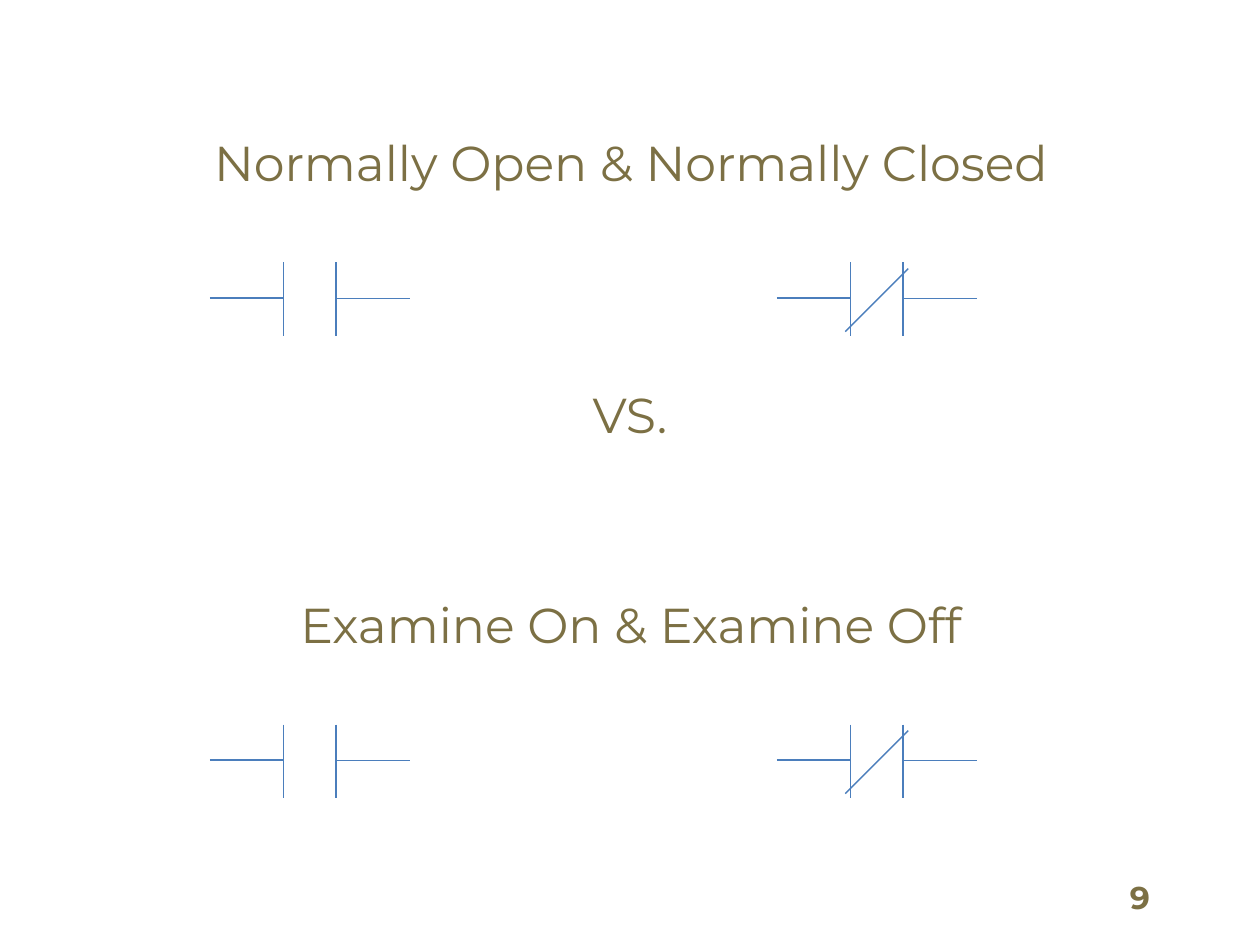
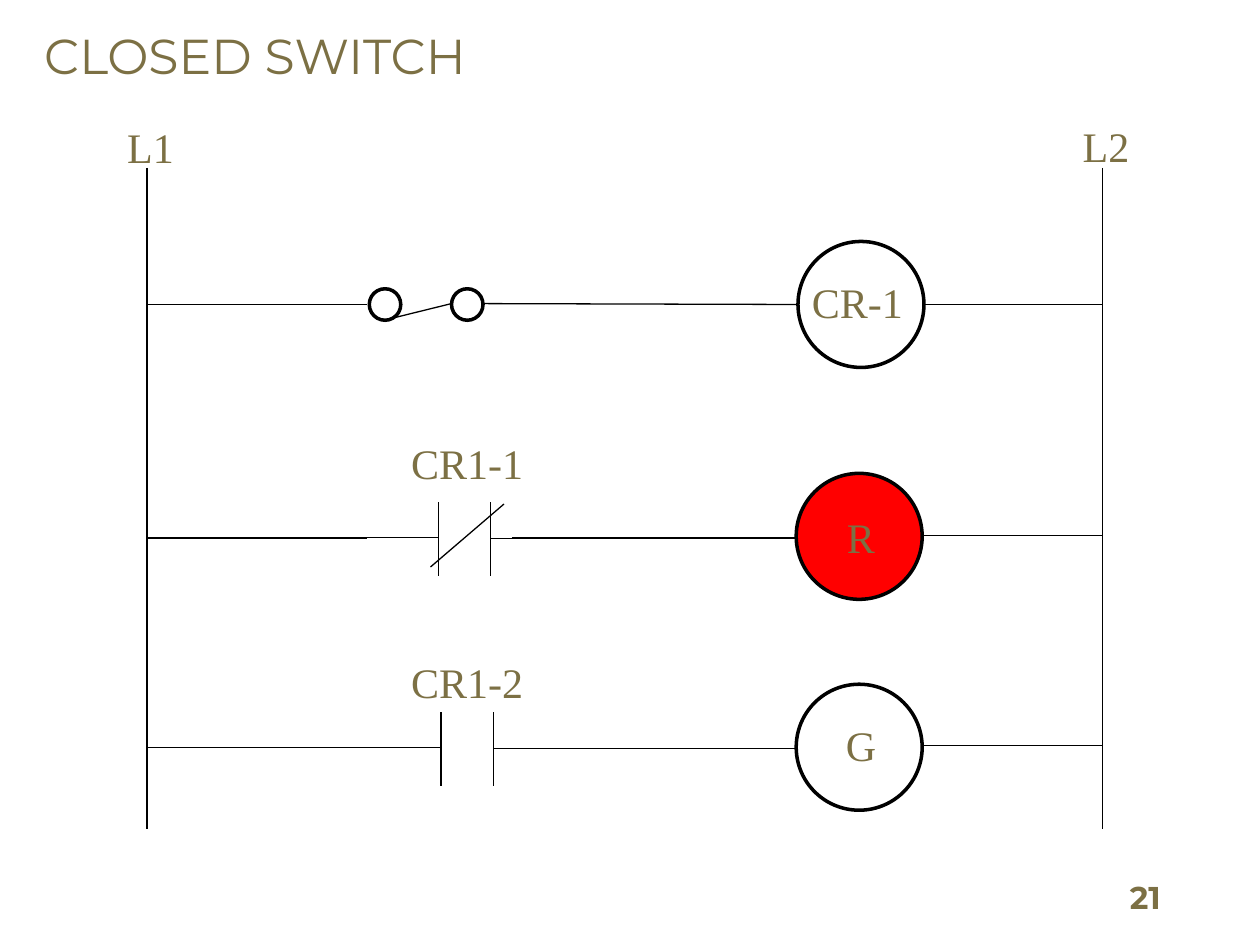
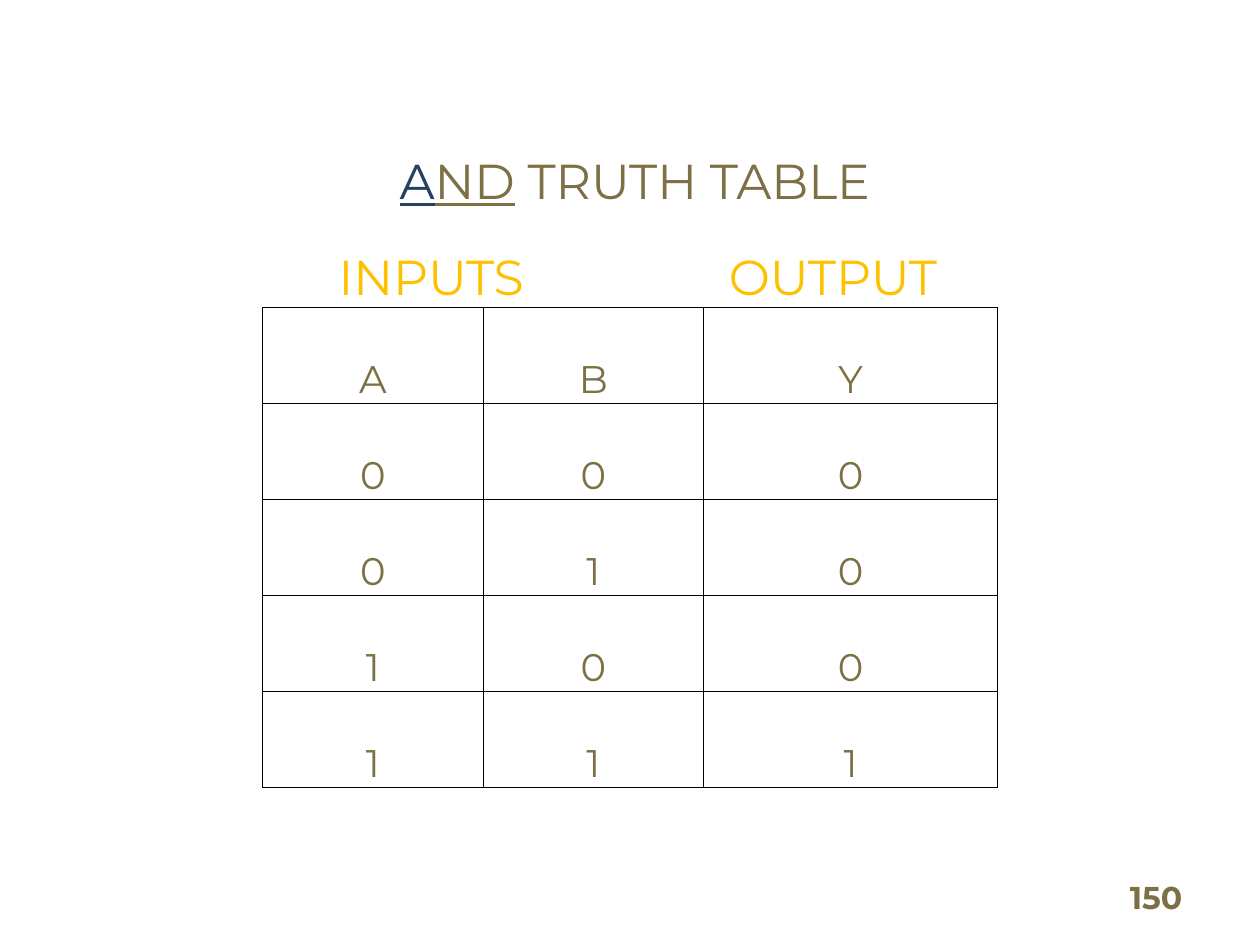
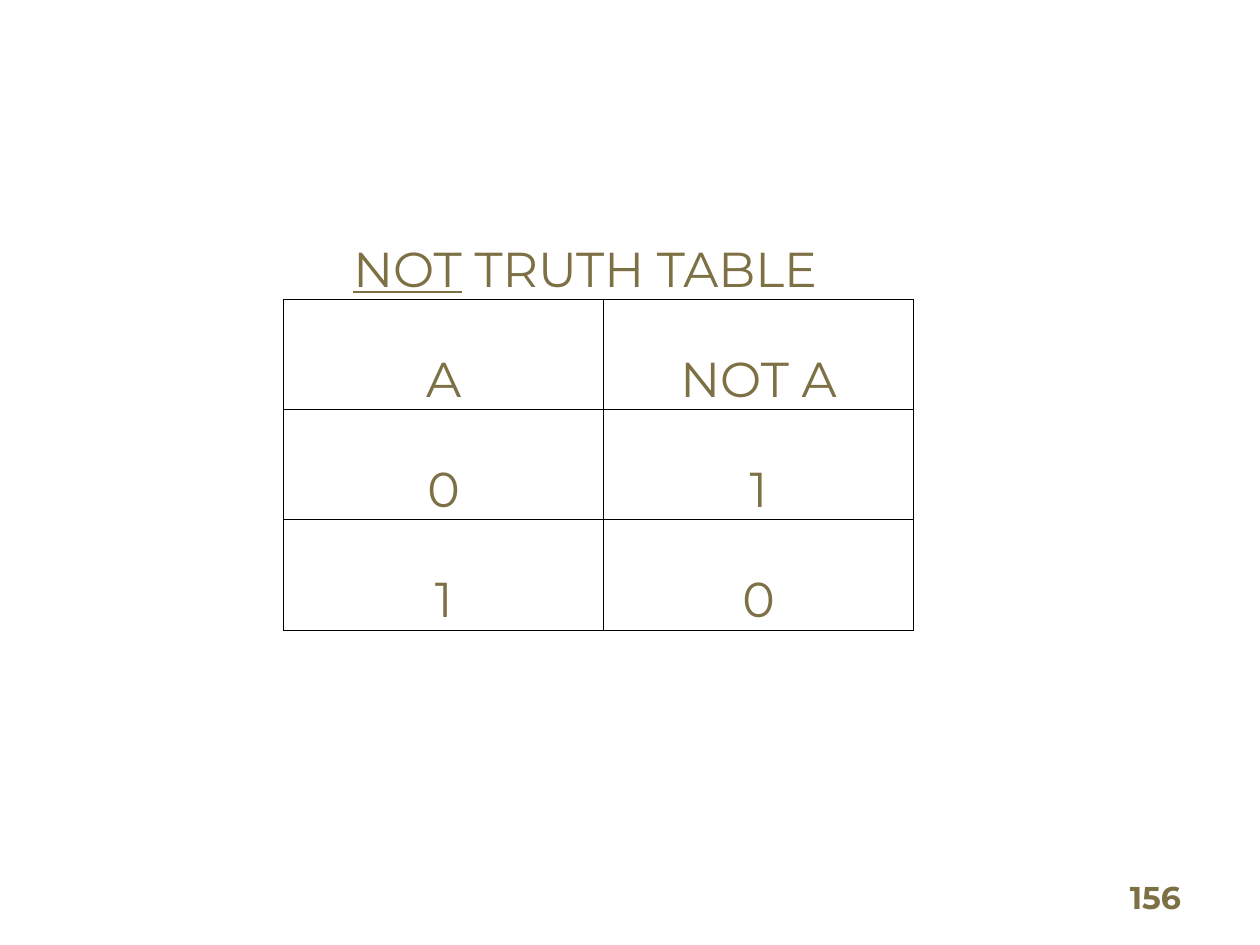
from lxml import etree
from pptx import Presentation
from pptx.dml.color import RGBColor
from pptx.enum.shapes import MSO_CONNECTOR, MSO_SHAPE
from pptx.enum.text import MSO_ANCHOR, MSO_AUTO_SIZE, PP_ALIGN
from pptx.oxml.ns import qn
from pptx.util import Pt

STRAIGHT = MSO_CONNECTOR.STRAIGHT
OVAL = MSO_SHAPE.OVAL
TOP, BOTTOM = MSO_ANCHOR.TOP, MSO_ANCHOR.BOTTOM
LEFT, CENTER = PP_ALIGN.LEFT, PP_ALIGN.CENTER
FIXED = MSO_AUTO_SIZE.NONE

COLORS = {
    "text": "7C7044",
    "navy": "254061",
    "gold": "FFC000",
    "wire": "4B7EBC",
    "black": "000000",
    "red": "FF0000",
}
SANS, SERIF = "Montserrat", "Times New Roman"
HEAD = 28
LABEL = 24
TITLE_ONLY, BLANK = 5, 6


def paint(name):
    return RGBColor.from_string(COLORS[name])


def style(font, size, face=SANS, color="text"):
    font.size = Pt(size)
    font.name = face
    font.color.rgb = paint(color)


def fill_text(shape, text, size, face=SANS, align=CENTER, anchor=TOP):
    frame = shape.text_frame
    frame.text = text
    frame.word_wrap = True
    frame.auto_size = FIXED
    frame.vertical_anchor = anchor
    para = frame.paragraphs[0]
    para.alignment = align
    style(para.runs[0].font, size, face)
    return para.runs[0]


def add_text(slide, box, text, size, face=SANS, align=CENTER, anchor=TOP):
    shape = slide.shapes.add_textbox(*map(Pt, box))
    return fill_text(shape, text, size, face, align, anchor)


def add_title(slide, box, text, align=CENTER):
    title = slide.shapes.title
    title.left, title.top, title.width, title.height = map(Pt, box)
    fill_text(title, text, HEAD, align=align)


def add_page(slide, number):
    box = (638.5, 504.5, 76, 22.5)
    run = add_text(slide, box, number, 18, align=LEFT, anchor=BOTTOM)
    run.font.bold = True


def add_line(slide, x1, y1, x2, y2, color="black"):
    line = slide.shapes.add_connector(STRAIGHT, *map(Pt, (x1, y1, x2, y2)))
    line.line.color.rgb = paint(color)
    line.line.width = Pt(0.75)
    etree.SubElement(line._element.spPr, qn("a:effectLst"))


def add_ring(slide, x, y, size, fill=None):
    ring = slide.shapes.add_shape(OVAL, *map(Pt, (x, y, size, size)))
    ring.shadow.inherit = False
    ring.line.color.rgb = paint("black")
    ring.line.width = Pt(2)
    if fill:
        ring.fill.solid()
        ring.fill.fore_color.rgb = paint(fill)
    else:
        ring.fill.background()


def add_contact(slide, x, y, color="black", slash=None):
    """Draw a relay contact; slash gives the ends of its closed mark."""
    parts = [(42, 0, 42, 42), (72, 0, 72, 42),
             (72, 20.75, 114, 20.75), (0, 20.25, 42, 20.25)]
    if slash:
        parts.append(slash)
    for x1, y1, x2, y2 in parts:
        add_line(slide, x + x1, y + y1, x + x2, y + y2, color)


def add_coil(slide, x, y, text, label, fill=None):
    """Draw a round load; label is the left, top and width of its text."""
    add_ring(slide, x, y, 72, fill)
    left, top, width = label
    add_text(slide, (x + left, y + top, width, 36), text, LABEL, SERIF)


def add_switch(slide, x, y):
    add_ring(slide, x, y, 18)
    add_ring(slide, x + 47, y, 18)
    add_line(slide, x + 47, y + 8.5, x + 8.5, y + 18, "black")


def add_ladder(slide, x, y):
    wide, high = 546, 378
    for name, rail, top in (("L1", 0, -30), ("L2", wide, -30.5)):
        add_line(slide, x + rail, y, x + rail, y + high)
        add_text(slide, (x + rail - 25, y + top, 54, 36), name, LABEL, SERIF)

    # Left wire, feed start, feed end and right wire of each rung
    for near, start, feed, far in ((78, (192, 77.5), 78, 78),
                                   (211.5, (208.5, 211.5), 211.5, 210),
                                   (331, (210, 331.7), 331.7, 330)):
        add_line(slide, x, y + near, x + 126, y + near)
        add_line(slide, x + start[0], y + start[1], x + 372, y + feed)
        add_line(slide, x + wide, y + far, x + 444, y + far)

    add_switch(slide, x + 127, y + 69)
    for name, left, top, slash in (
            ("CR1-1", 124.5, 191, (79.5, 1, 37.5, 37)),
            ("CR1-2", 126, 311, None)):
        add_contact(slide, x + left, y + top, slash=slash)
        add_text(slide, (x + 132, y + top - 40.5 + (5 if slash is None else 0),
                         102, 36), name, LABEL, SERIF)

    add_coil(slide, x + 372, y + 42, "CR-1", (-5, 16.5, 78))
    add_coil(slide, x + 371, y + 174.5, "R", (7, 18, 60), "red")
    add_coil(slide, x + 371, y + 295, "G", (7, 16.5, 60))


def set_edges(cell, sides):
    """Rule the named sides of a cell and clear the others."""
    props = cell._tc.get_or_add_tcPr()
    for spot, side in enumerate("LRTB"):
        edge = etree.Element(qn("a:ln" + side), w=str(Pt(0.5)))
        if side in sides:
            solid = etree.SubElement(edge, qn("a:solidFill"))
            etree.SubElement(solid, qn("a:srgbClr"), val=COLORS["black"])
        else:
            etree.SubElement(edge, qn("a:noFill"))
        props.insert(spot, edge)


def fill_cell(cell, parts, size, align=CENTER, left=0.7, right=0.7):
    """Write parts, each a text, colour and underline, into a cell."""
    cell.vertical_anchor = BOTTOM
    cell.margin_left, cell.margin_right = Pt(left), Pt(right)
    cell.margin_top, cell.margin_bottom = Pt(0.7), Pt(0)
    para = cell.text_frame.paragraphs[0]
    para.alignment = align
    for text, color, under in parts:
        run = para.add_run()
        run.text = text
        style(run.font, size, color=color)
        run.font.underline = under


def add_grid(slide, x, y, cols, high, heads, rows, size):
    """Add a truth table with open rows on top for its headings."""
    count = heads + len(rows)
    box = map(Pt, (x, y, sum(cols), high))
    table = slide.shapes.add_table(count, len(cols), *box).table
    table.first_row = table.horz_banding = False
    for col, width in zip(table.columns, cols):
        col.width = Pt(width)
    for row in table.rows:
        row.height = Pt(round(high / count, 2))
    for r in range(count):
        for c in range(len(cols)):
            cell = table.cell(r, c)
            cell.fill.background()
            if r >= heads:
                fill_cell(cell, [(rows[r - heads][c], "text", False)], size)
                set_edges(cell, "LRTB")
            else:
                set_edges(cell, "B" if r == heads - 1 else "")
    table.cell(0, 0).merge(table.cell(0, len(cols) - 1))
    return table


def contact_slide(slide):
    add_title(slide, (54.5, 72, 612, 41), "Normally Open & Normally Closed")
    add_text(slide, (300, 216, 120, 41), "VS.", HEAD)
    add_text(slide, (81.5, 336, 558, 41), "Examine On & Examine Off", HEAD)
    for y in (150, 414):
        add_contact(slide, 120, y, "wire")
        add_contact(slide, 444, y, "wire", (75, 3.5, 39, 39.5))


def switch_slide(slide):
    add_title(slide, (18, 11, 662, 40), "CLOSED SWITCH", LEFT)
    add_ladder(slide, 84, 96)


def and_slide(slide):
    rows = ["ABY", "000", "010", "100", "111"]
    table = add_grid(slide, 150, 66, (126, 126, 168), 384, 2, rows, 22)
    fill_cell(table.cell(0, 0), [("A", "navy", True), ("ND", "text", True),
                                 (" TRUTH TABLE", "text", False)], HEAD, left=6)
    table.cell(1, 0).merge(table.cell(1, 1))
    for col, text, left in ((0, "INPUTS", 43.5), (2, "OUTPUT", 14.5)):
        fill_cell(table.cell(1, col), [(text, "gold", False)], HEAD, LEFT, left)


def not_slide(slide):
    rows = [("A", "NOT A"), "01", "10"]
    table = add_grid(slide, 162, 108, (183, 177), 252, 1, rows, HEAD)
    fill_cell(table.cell(0, 0), [("NOT", "text", True),
                                 (" TRUTH TABLE", "text", False)], HEAD, right=16)


def main():
    deck = Presentation()
    deck.slide_width, deck.slide_height = Pt(720), Pt(540)
    for build, layout, page in ((contact_slide, TITLE_ONLY, "9"),
                                (switch_slide, TITLE_ONLY, "21"),
                                (and_slide, BLANK, "150"),
                                (not_slide, BLANK, "156")):
        slide = deck.slides.add_slide(deck.slide_layouts[layout])
        build(slide)
        add_page(slide, page)
    deck.save("out.pptx")


if __name__ == "__main__":
    main()
